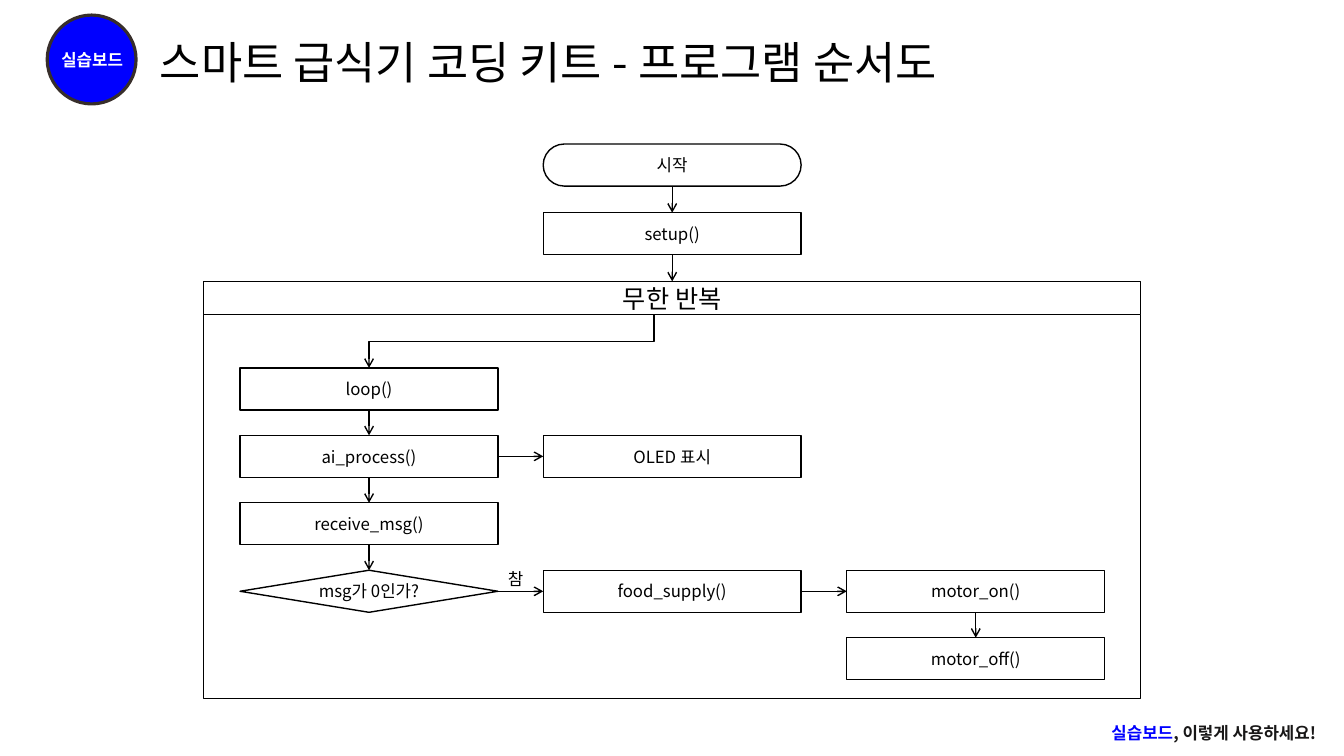
"""Build a slide with the program flowchart of a smart feeder coding kit."""
from lxml import etree
from pptx import Presentation, util as u
from pptx.dml.color import RGBColor
from pptx.enum import shapes, text
from pptx.oxml.ns import qn

FONT = "Noto Sans CJK KR"
BLACK, WHITE, BLUE = "000000", "FFFFFF", "0000FF"
TITLE = "스마트 급식기 코딩 키트 - 프로그램 순서도"
BADGE = "실습보드"
FOOTER = [("실습보드", BLUE), (", 이렇게 사용하세요!", "181717")]
LOOP_TITLE = "무한 반복"
YES_LABEL = "참"

STEPS = {
    "start": ("시작", "ROUNDED_RECTANGLE", "middle", "start"),
    "setup": ("setup()", "RECTANGLE", "middle", "setup"),
    "loop": ("loop()", "RECTANGLE", "left", 0),
    "ai": ("ai_process()", "RECTANGLE", "left", 1),
    "receive": ("receive_msg()", "RECTANGLE", "left", 2),
    "decision": ("msg가 0인가?", "FLOWCHART_DECISION", "left", 3),
    "oled": ("OLED 표시", "RECTANGLE", "middle", 1),
    "food": ("food_supply()", "RECTANGLE", "middle", 3),
    "motor_on": ("motor_on()", "RECTANGLE", "right", 3),
    "motor_off": ("motor_off()", "RECTANGLE", "right", 4),
}
DOWN_ARROWS = [("start", "setup"), ("setup", "bar"), ("loop", "ai"), ("ai", "receive"),
               ("receive", "decision"), ("motor_on", "motor_off")]
RIGHT_ARROWS = [("ai", "oled"), ("decision", "food"), ("food", "motor_on")]

STEP_WIDTH, STEP_HEIGHT = 6.5, 1.06
COLUMNS = {"left": 6.05, "middle": 13.69, "right": 21.34}
ROWS = {"start": 3.63, "setup": 5.36, **{row: 9.27 + 1.7 * row for row in range(5)}}
FRAME_LEFT, FRAME_TOP, FRAME_WIDTH, FRAME_HEIGHT, BAR_HEIGHT = 5.13, 7.09, 23.62, 10.52, 0.84
LOOP_EXIT_X = 16.48
TOP, LEFT, BOTTOM, RIGHT = range(4)


def color(value):
    return RGBColor.from_string(value)


def write(shape, runs, size=12, ink=BLACK, bold=False, align="CENTER", anchor="MIDDLE"):
    frame = shape.text_frame
    frame.word_wrap = True
    frame.vertical_anchor = getattr(text.MSO_ANCHOR, anchor)
    paragraph = frame.paragraphs[0]
    paragraph.alignment = getattr(text.PP_ALIGN, align)
    font = paragraph.font
    font.name, font.size, font.bold = FONT, u.Pt(size), bold
    font.color.rgb = color(ink)
    etree.SubElement(font._element, qn("a:ea")).set("typeface", FONT)
    for content, run_ink in runs:
        run = paragraph.add_run()
        run.text = content
        if run_ink != ink:
            run.font.color.rgb = color(run_ink)
    return paragraph


def add_label(slide, box, runs, **style):
    label = slide.shapes.add_textbox(*map(u.Cm, box))
    return write(label, runs, **style)


def add_box(slide, kind, box, fill=WHITE, line=BLACK, weight=1):
    shape = slide.shapes.add_shape(getattr(shapes.MSO_SHAPE, kind), *map(u.Cm, box))
    shape.shadow.inherit = False
    shape.fill.solid()
    shape.fill.fore_color.rgb = color(fill)
    shape.line.color.rgb = color(line)
    shape.line.width = u.Pt(weight)
    return shape


def add_arrow(slide, kind="STRAIGHT", ends=(0, 0, 0, 0)):
    arrow = slide.shapes.add_connector(getattr(shapes.MSO_CONNECTOR, kind), *map(u.Cm, ends))
    arrow.line.color.rgb = color(BLACK)
    arrow.line.width = u.Pt(1)
    etree.SubElement(arrow.line._get_or_add_ln(), qn("a:tailEnd")).set("type", "arrow")
    etree.SubElement(arrow._element.spPr, qn("a:effectLst"))
    return arrow


def add_loop_entry(slide, x1, y1, x2, y2):
    center_x, center_y = (x1 + x2) / 2, (y1 + y2) / 2
    half_width, half_height = (y2 - y1) / 2, (x1 - x2) / 2
    arrow = add_arrow(slide, "ELBOW", (center_x - half_width, center_y - half_height,
                                       center_x + half_width, center_y + half_height))
    arrow._element.spPr.find(qn("a:xfrm")).set("rot", "5400000")


def main():
    presentation = Presentation()
    presentation.slide_width, presentation.slide_height = u.Cm(33.87), u.Cm(19.05)
    slide = presentation.slides.add_slide(presentation.slide_layouts[6])

    add_box(slide, "OVAL", (1.19, 0.38, 2.24, 2.24), BLUE, "372E2B", 2.25)
    add_label(slide, (0.66, 1.12, 3.33, 0.76), [(BADGE, WHITE)], ink=WHITE, bold=True)
    add_label(slide, (16.48, 18.08, 16.94, 0.76), FOOTER, bold=True, align="RIGHT")
    title = add_label(slide, (3.78, 0.64, 29.21, 1.98), [(TITLE, BLACK)], size=32, align="LEFT")
    title.line_spacing = 0.9

    add_box(slide, "RECTANGLE", (FRAME_LEFT, FRAME_TOP, FRAME_WIDTH, FRAME_HEIGHT))
    bar = add_box(slide, "RECTANGLE", (FRAME_LEFT, FRAME_TOP, FRAME_WIDTH, BAR_HEIGHT))
    write(bar, [(LOOP_TITLE, BLACK)], size=18)

    steps = {"bar": bar}
    for name, (caption, kind, column, row) in STEPS.items():
        step = add_box(slide, kind, (COLUMNS[column], ROWS[row], STEP_WIDTH, STEP_HEIGHT))
        write(step, [(caption, BLACK)])
        steps[name] = step
    steps["start"].adjustments[0] = 0.5

    for pairs, leave, enter in ((DOWN_ARROWS, BOTTOM, TOP), (RIGHT_ARROWS, RIGHT, LEFT)):
        for source, target in pairs:
            arrow = add_arrow(slide)
            arrow.begin_connect(steps[source], leave)
            arrow.end_connect(steps[target], enter)
    add_loop_entry(slide, LOOP_EXIT_X, FRAME_TOP + BAR_HEIGHT,
                   COLUMNS["left"] + STEP_WIDTH / 2, ROWS[0])
    add_label(slide, (12.55, 14.2, 0.89, 0.76), [(YES_LABEL, BLACK)])

    presentation.save("out.pptx")


if __name__ == "__main__":
    main()
